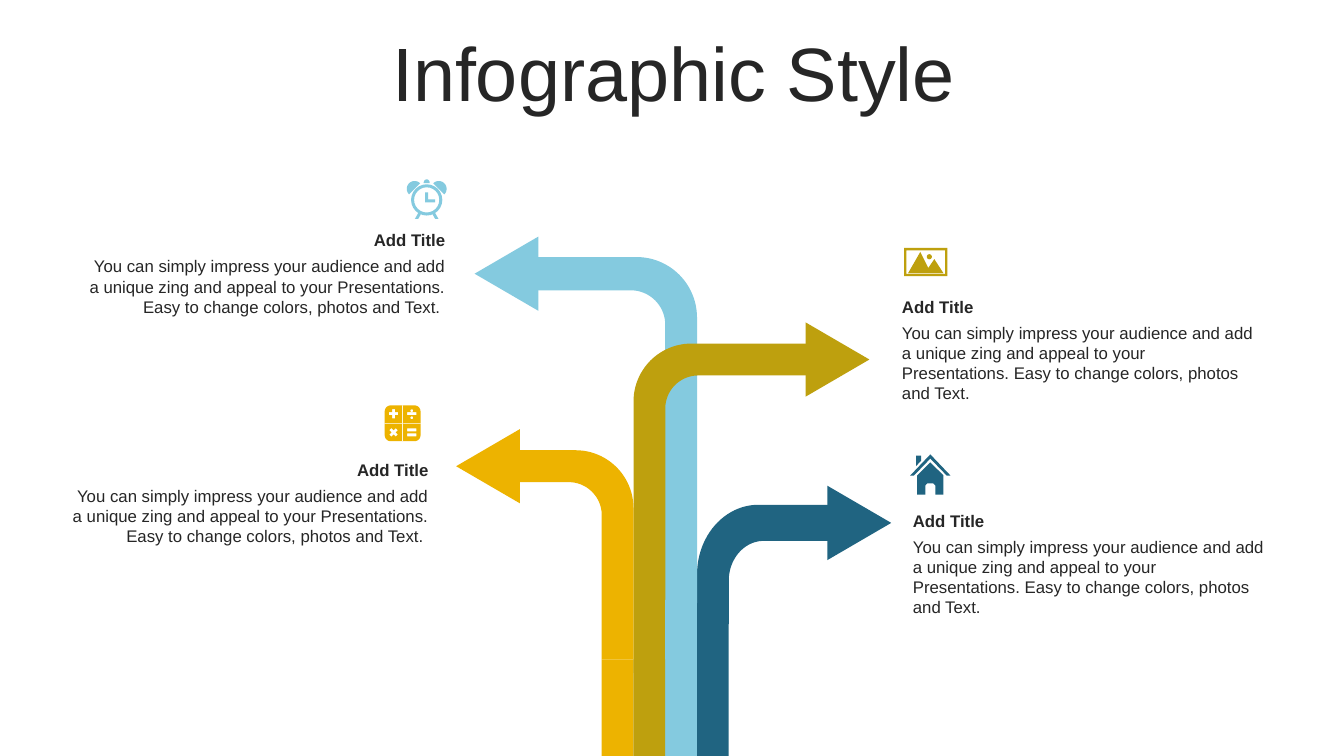
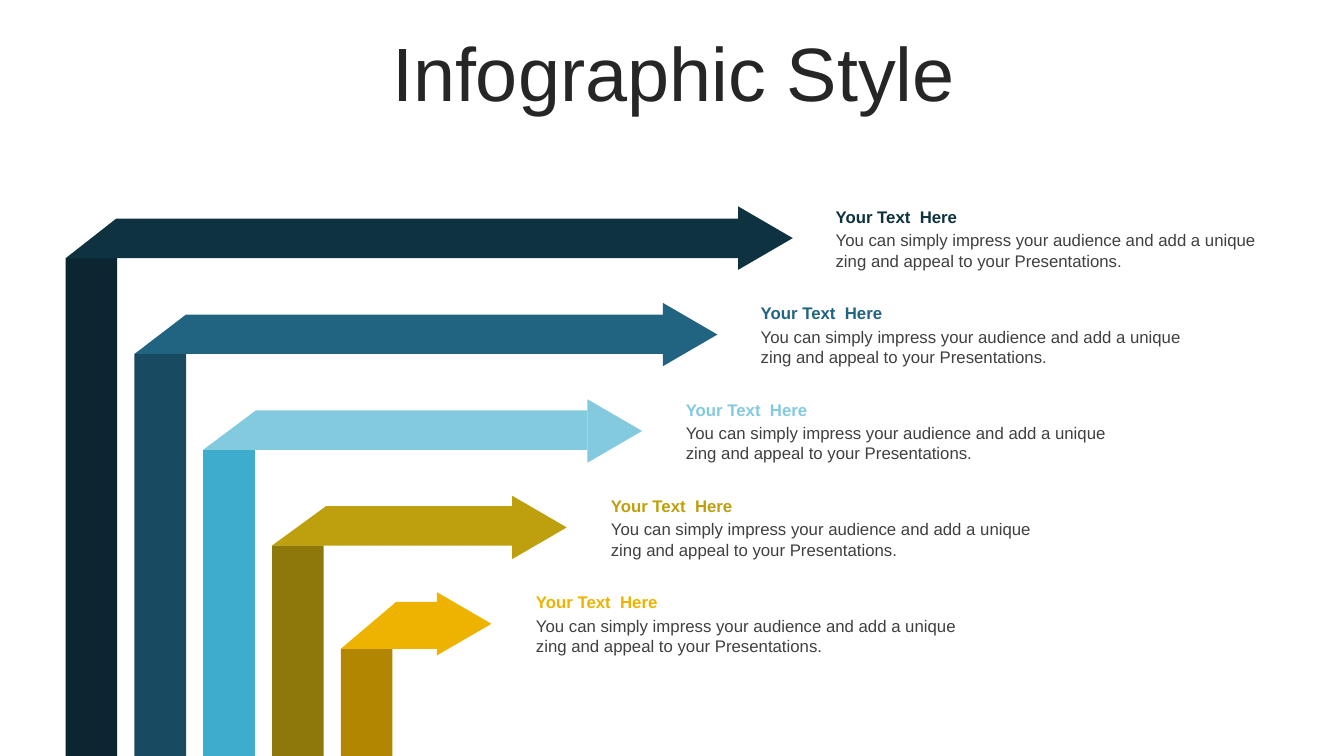
"""Build two arrow infographic slides on a grid of 160 by 90 square cells."""
from dataclasses import dataclass
from math import cos, radians, sin

from pptx import Presentation
from pptx.dml.color import RGBColor
from pptx.enum.shapes import MSO_SHAPE as Shape
from pptx.enum.text import MSO_ANCHOR as Anchor, MSO_AUTO_SIZE as AutoSize, PP_ALIGN as Align
from pptx.util import Emu, Pt

COLS, ROWS = 160, 90
CELL = 76200
FONT = "Arial"

INK = RGBColor(0x26, 0x26, 0x26)
GREY = RGBColor(0x40, 0x40, 0x40)
NAVY = RGBColor(0x0F, 0x32, 0x40)
NAVY_DARK = RGBColor(0x0B, 0x26, 0x30)
BLUE = RGBColor(0x20, 0x64, 0x81)
BLUE_DARK = RGBColor(0x18, 0x4B, 0x61)
SKY = RGBColor(0x84, 0xCA, 0xDF)
SKY_DARK = RGBColor(0x3E, 0xAC, 0xCD)
OLIVE = RGBColor(0xBE, 0xA0, 0x0E)
OLIVE_DARK = RGBColor(0x8F, 0x78, 0x0A)
GOLD = RGBColor(0xED, 0xB3, 0x00)
GOLD_DARK = RGBColor(0xB2, 0x86, 0x00)

PITCH = "You can simply impress your audience and add a unique zing and appeal to your Presentations."
LONG_PITCH = PITCH + " Easy to change colors, photos and Text."

Outline = list[tuple[float, float]]


@dataclass
class Pipe:
    color: RGBColor
    column: int
    side: int
    tail: float
    tip: float
    top: float
    thick: float
    rx: float
    ry: float
    foot: float
    stem: float


@dataclass
class Block:
    left: float
    top: float
    width: float
    gap: float
    body_height: float
    title: str
    body: str
    title_color: RGBColor
    body_color: RGBColor
    align: Align = Align.LEFT


@dataclass
class Icon:
    cx: float
    cy: float
    color: RGBColor
    outlines: list[Outline]


def cells(n: float) -> Emu:
    return Emu(round(n * CELL))


def arc(cx: float, cy: float, rx: float, ry: float, start: float, end: float) -> Outline:
    steps = 24
    angles = [radians(start + (end - start) * i / steps) for i in range(steps + 1)]
    return [(cx + rx * cos(a), cy + ry * sin(a)) for a in angles]


def disc(cx: float, cy: float, r: float) -> Outline:
    return arc(cx, cy, r, r, 0, 360)


def box(left: float, top: float, width: float, height: float) -> Outline:
    right, bottom = left + width, top + height
    return [(left, top), (right, top), (right, bottom), (left, bottom)]


def plus(cx: float, cy: float, turn: float) -> Outline:
    arm, half = 0.55, 0.18
    points = []
    for quarter in range(4):
        a = radians(turn + 90 * quarter)
        for x, y in ((arm, -half), (arm, half), (half, half)):
            points.append((cx + x * cos(a) - y * sin(a), cy + x * sin(a) + y * cos(a)))
    return points


def mirror(outline: Outline) -> Outline:
    return [(-x, y) for x, y in outline]


def clock() -> list[Outline]:
    foot = [(-1, 1.55), (-1.4, 2.25), (-1, 2.25), (-0.72, 1.75)]
    bell = arc(-1.44, -1.32, 0.93, 0.93, -45, -225)
    hands = [(-0.18, -0.9), (0.18, -0.9), (0.18, -0.06), (1, -0.06), (1, 0.3), (-0.18, 0.3)]
    knob = arc(0, -2, 0.36, 0.45, -180, 0)
    return [disc(0, 0, 1.86), disc(0, 0, 1.5), hands, knob,
            foot, mirror(foot), bell, mirror(bell)]


def calculator() -> list[Outline]:
    half, r = 2.13, 0.72
    c = half - r
    body = [p for i, (x, y) in enumerate(((c, c), (-c, c), (-c, -c), (c, -c)))
            for p in arc(x, y, r, r, 90 * i, 90 * i + 90)]
    gap = box(-half, -0.05, half - 0.05, 0.1)
    bars = [box(0.54, y, 1.1, 0.36) for y in (-1.32, 0.6, 1.2)]
    dots = [disc(1.09, y, 0.17) for y in (-1.5, -0.66)]
    return [body, box(-0.05, -half, 0.1, 2 * half), gap, mirror(gap),
            plus(-1.08, -1.14, 0), plus(-1.08, 1.08, 45), *bars, *dots]


def house() -> list[Outline]:
    roof = [(0, -2.4), (2.4, 0.12), (1.95, 0.12), (0, -1.9), (-1.95, 0.12), (-2.4, 0.12)]
    walls = [(0, -1.45), (1.56, 0.1), (1.56, 2.4), (0.6, 2.4), (0.6, 1.3), (0.35, 1.05),
             (-0.35, 1.05), (-0.6, 1.3), (-0.6, 2.4), (-1.56, 2.4), (-1.56, 0.1)]
    chimney = [(-1.7, -2.25), (-1.1, -2.25), (-1.1, -1.65), (-1.7, -1)]
    return [roof, walls, chimney]


def photo() -> list[Outline]:
    hills = [(-0.66, -1.2), (0.3, 0.7), (1.02, -0.35), (2.1, 1.32), (-2.1, 1.32)]
    return [box(-2.58, -1.68, 5.16, 3.36), box(-2.3, -1.4, 4.6, 2.8),
            disc(0.42, -0.63, 0.3), hills]


def paint(sp, color: RGBColor) -> None:
    sp.shadow.inherit = False
    sp.fill.solid()
    sp.fill.fore_color.rgb = color
    sp.line.fill.background()


def add_outlines(s, outlines: list[Outline], color: RGBColor, dx: float = 0, dy: float = 0) -> None:
    placed = [[(cells(x + dx), cells(y + dy)) for x, y in o] for o in outlines]
    builder = s.shapes.build_freeform(*placed[0][0])
    for i, points in enumerate(placed):
        if i:
            builder.move_to(*points[0])
        builder.add_line_segments(points[1:], close=True)
    paint(builder.convert_to_shape(), color)


def add_bar(s, left: float, top: float, width: float, color: RGBColor) -> None:
    sp = s.shapes.add_shape(Shape.RECTANGLE, cells(left), cells(top), cells(width), cells(ROWS - top))
    paint(sp, color)


def add_head(s, tip: float, cy: float, side: int, base: float, length: float, color: RGBColor) -> None:
    cx = tip - side * length / 2
    sp = s.shapes.add_shape(Shape.ISOSCELES_TRIANGLE, cells(cx - base / 2), cells(cy - length / 2),
                            cells(base), cells(length))
    sp.rotation = 90 if side > 0 else 270
    paint(sp, color)


def style(tf, size: float, color: RGBColor, align: Align, bold: bool = False) -> None:
    p = tf.paragraphs[0]
    p.alignment = align
    font = p.runs[0].font
    font.name, font.size, font.bold = FONT, Pt(size), bold
    font.color.rgb = color


def add_slide(prs, title: str):
    s = prs.slides.add_slide(prs.slide_layouts[5])
    sp = s.shapes.title
    sp.left, sp.top, sp.width, sp.height = cells(4.2), cells(4.4), cells(152), cells(9.5)
    tf = sp.text_frame
    tf.text = title
    tf.auto_size = AutoSize.NONE
    tf.vertical_anchor = Anchor.MIDDLE
    tf.paragraphs[0].line_spacing = 0.9
    style(tf, 54, INK, Align.CENTER)
    return s


def add_block(s, b: Block) -> None:
    group = s.shapes.add_group_shape()
    rows = ((b.body, b.top + b.gap, b.body_height, b.body_color, False),
            (b.title, b.top, 3.6, b.title_color, True))
    for text, top, height, color, bold in rows:
        sp = group.shapes.add_textbox(cells(b.left), cells(top), cells(b.width), cells(height))
        tf = sp.text_frame
        tf.word_wrap = True
        tf.auto_size = AutoSize.SHAPE_TO_FIT_TEXT
        tf.text = text
        style(tf, 12, color, b.align, bold)


def add_pipes(s, pipes: list[Pipe]) -> None:
    first, width, inner_share = 71.64, 3.78, 0.57
    for k in pipes:
        left = first + k.column * width
        outer, inner = (left, left + width)[::k.side]
        under = k.top + k.thick
        rx, ry = k.rx * inner_share, k.ry * inner_share
        middle = 270 - 90 * k.side
        outside = arc(outer + k.side * k.rx, k.top + k.ry, k.rx, k.ry, 270, middle)
        inside = arc(inner + k.side * rx, under + ry, rx, ry, middle, 270)
        add_outlines(s, [[(k.tail, k.top), *outside, (outer, k.foot), (inner, k.foot),
                          *inside, (k.tail, under)]], k.color)
    for k in pipes:
        add_head(s, k.tip, k.top + k.thick / 2, k.side, 8.85, 7.6, k.color)
    for k in pipes:
        add_bar(s, first + k.column * width, k.stem, width, k.color)


def build_tree(prs) -> None:
    s = add_slide(prs, "Infographic Style")
    add_pipes(s, [
        Pipe(BLUE, 3, 1, 99.7, 106.1, 60.1, 4.3, 7.3, 8.3, 74.3, 74.2),
        Pipe(GOLD, 0, -1, 61.1, 54.3, 53.6, 3.8, 6.9, 6.9, 78.5, 78.5),
        Pipe(SKY, 2, -1, 60.8, 56.5, 30.6, 3.96, 7.2, 7.2, 71.8, 71.4),
        Pipe(OLIVE, 1, 1, 97.6, 103.5, 40.9, 3.8, 6.9, 6.9, 80.1, 78.5),
    ])
    for left, top in ((106.2, 34.7), (107.5, 60.2)):
        add_block(s, Block(left, top, 44.6, 3.1, 8.5, "Add Title", LONG_PITCH, INK, INK))
    for left, top in ((9.1, 26.8), (7.1, 54.1)):
        add_block(s, Block(left, top, 45.1, 3.1, 8.5, "Add Title", LONG_PITCH + " ", INK, INK, Align.RIGHT))
    for icon in (Icon(50.8, 23.8, SKY, clock()), Icon(47.94, 50.4, GOLD, calculator()),
                 Icon(110.76, 56.5, BLUE, house()), Icon(110.22, 31.2, OLIVE, photo())):
        add_outlines(s, icon.outlines, icon.color, icon.cx, icon.cy)


def build_stairs(prs) -> None:
    s = add_slide(prs, "Infographic Style")
    shades = [(NAVY, NAVY_DARK), (BLUE, BLUE_DARK), (SKY, SKY_DARK),
              (OLIVE, OLIVE_DARK), (GOLD, GOLD_DARK)]
    head_length = 6.5
    for i, (color, dark) in enumerate(shades):
        left, top, tip = 7.82 + 8.19 * i, 26.04 + 11.4 * i, 94.38 - 8.97 * i
        fold = top + (5.6 if i == len(shades) - 1 else 4.7)
        right = tip - head_length
        add_bar(s, left, fold, 6.14, dark)
        add_outlines(s, [[(right, top), (left + 6 + 0.15 * i, top), (left, fold), (right, fold)]], color)
        add_head(s, tip, 28.35 + 11.48 * i, 1, 7.55, head_length, color)
        add_block(s, Block(98.3 - 8.92 * i, 24 + 11.47 * i, 53.9, 2.8, 6,
                           "Your Text  Here", PITCH, color, GREY))


def main() -> None:
    prs = Presentation()
    prs.slide_width, prs.slide_height = cells(COLS), cells(ROWS)
    build_tree(prs)
    build_stairs(prs)
    prs.save("out.pptx")


if __name__ == "__main__":
    main()
